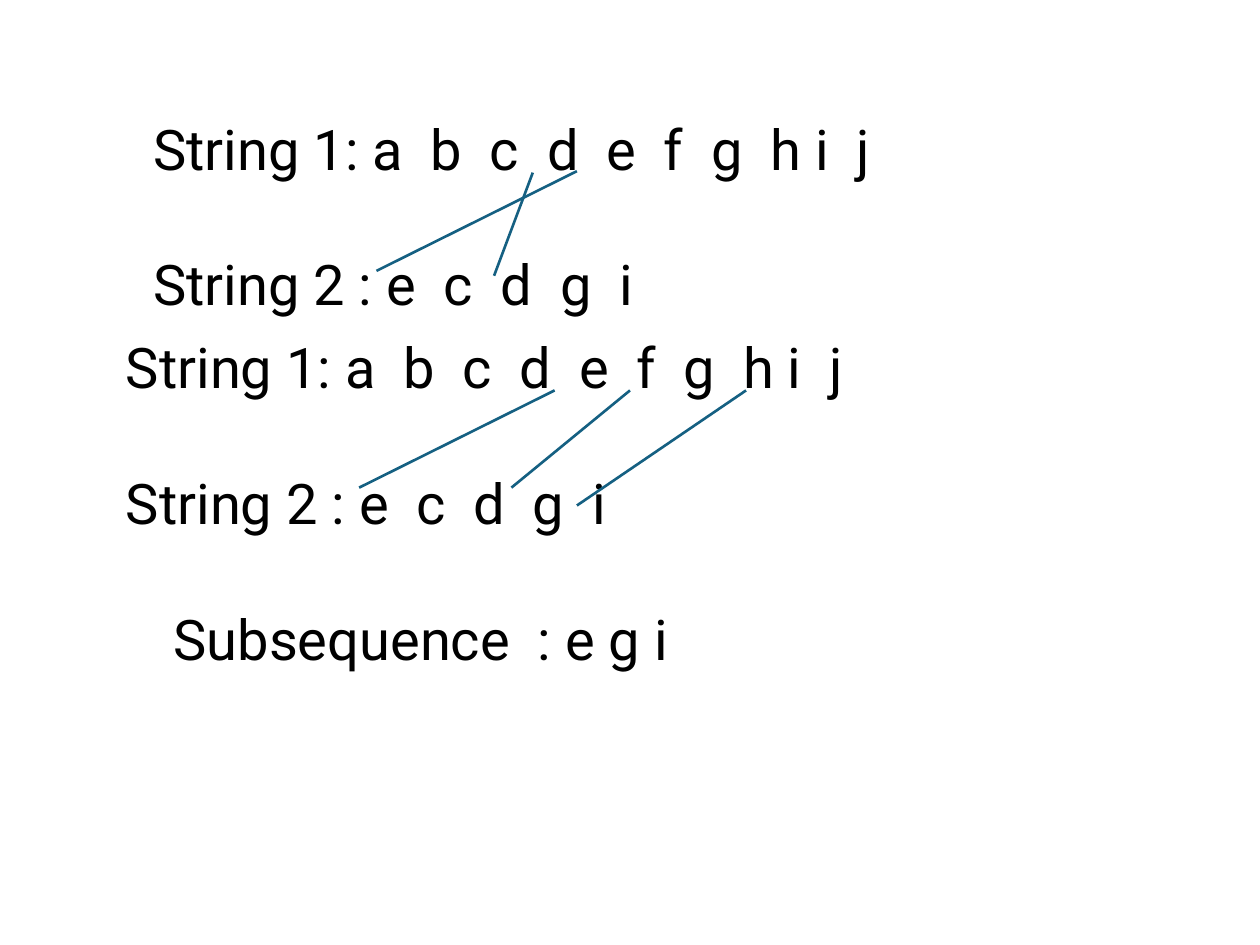
from lxml import etree
from pptx import Presentation
from pptx import util as u
from pptx.dml.color import RGBColor
from pptx.enum import shapes, text
from pptx.oxml.ns import qn

FONT, SIZE = "Roboto", 32
INK, LINK = "000000", "156082"
LINE_GAP = 39  # points between the two strings

STRINGS = ["String 1: a  b  c  d  e  f  g  h i  j", "String 2 : e  c  d  g  i"]

# left, top, width, height in cm, then the lines of text
TEXTS = [
    (2.84, 2.18, 17.04, 4.37, STRINGS),
    (2.29, 6.58, 15.47, 4.37, STRINGS),
    (3.25, 12.07, 12.7, 1.63, ["Subsequence  : e g i"]),
]

# x and y of the lower end, then of the upper end, in cm
LINKS = [
    (7.24, 9.83, 11.18, 7.87),
    (10.31, 9.83, 12.7, 7.87),
    (11.63, 10.19, 15.04, 7.87),
    (7.59, 5.46, 11.63, 3.45),
    (9.96, 5.56, 10.74, 3.48),
]


def color(value):
    return RGBColor.from_string(value)


def add_text(page, left, top, width, height, lines):
    box = page.shapes.add_textbox(*map(u.Cm, (left, top, width, height)))
    frame = box.text_frame
    frame.word_wrap = True
    frame.auto_size = text.MSO_AUTO_SIZE.SHAPE_TO_FIT_TEXT
    for index, line in enumerate(lines):
        para = frame.add_paragraph() if index else frame.paragraphs[0]
        if index:
            para.space_before = u.Pt(LINE_GAP)
        span = para.add_run()
        span.text = line
        span.font.name = FONT
        span.font.size = u.Pt(SIZE)
        span.font.color.rgb = color(INK)


def add_link(page, ends):
    link = page.shapes.add_connector(shapes.MSO_CONNECTOR.STRAIGHT, *map(u.Cm, ends))
    link.line.color.rgb = color(LINK)
    link.line.width = u.Pt(1.5)
    etree.SubElement(link._element.spPr, qn("a:effectLst"))


def main():
    deck = Presentation()
    deck.slide_width, deck.slide_height = u.Cm(25.4), u.Cm(19.05)
    page = deck.slides.add_slide(deck.slide_layouts[6])
    for item in TEXTS:
        add_text(page, *item)
    for ends in LINKS:
        add_link(page, ends)
    deck.save("out.pptx")


if __name__ == "__main__":
    main()
